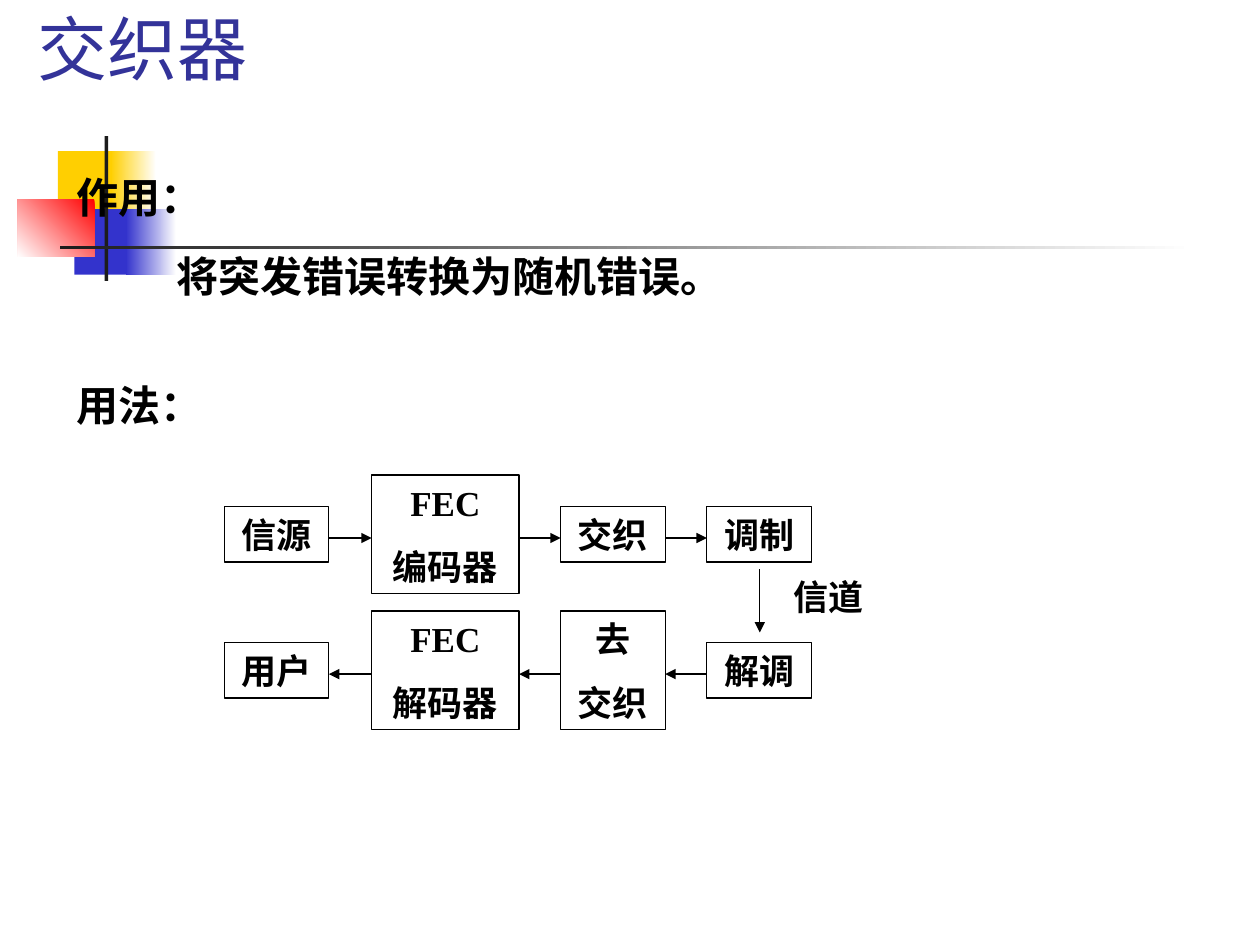
from lxml import etree
from pptx import Presentation
from pptx.dml.color import RGBColor
from pptx.enum.shapes import MSO_CONNECTOR, MSO_SHAPE
from pptx.enum.text import MSO_ANCHOR, MSO_AUTO_SIZE, PP_ALIGN
from pptx.oxml.ns import qn
from pptx.util import Inches, Pt

RECT = MSO_SHAPE.RECTANGLE
STRAIGHT = MSO_CONNECTOR.STRAIGHT
TOP, MIDDLE, BOTTOM = MSO_ANCHOR.TOP, MSO_ANCHOR.MIDDLE, MSO_ANCHOR.BOTTOM
LEFT, CENTER = PP_ALIGN.LEFT, PP_ALIGN.CENTER
NO_FIT = MSO_AUTO_SIZE.NONE

TITLE_ONLY = 5
BLACK, WHITE, DARK = "000000", "FFFFFF", "1C1C1C"
YELLOW, BLUE, RED = "FFCF01", "3333CC", "FF0000"


def rgb(value):
    return RGBColor.from_string(value)


class SlideBuilder:
    title_font = {"name": "Cabin", "size": Pt(40), "bold": False}
    heading_font = {"name": "Times New Roman", "size": Pt(24), "bold": True}
    label_font = {"name": "Times New Roman", "size": Pt(20), "bold": True}
    line_width = Pt(0.75)
    space_before = Pt(12.5)

    def __init__(self, prs):
        self.s = prs.slides.add_slide(prs.slide_layouts[TITLE_ONLY])

    def set_text(self, sp, lines, font, color=BLACK, align=LEFT, anchor=TOP, wrap=True):
        tf = sp.text_frame
        frame = {"auto_size": NO_FIT, "word_wrap": wrap, "vertical_anchor": anchor}
        for name, value in frame.items():
            setattr(tf, name, value)
        for i, line in enumerate(lines):
            p = tf.add_paragraph() if i else tf.paragraphs[0]
            p.alignment = align
            p.space_before = self.space_before if i else Pt(0)
            r = p.add_run()
            r.text = line
            for name, value in font.items():
                setattr(r.font, name, value)
            r.font.color.rgb = rgb(color)

    def title(self, text, x, y, w, h):
        sp = self.s.shapes.title
        for name, value in zip(("left", "top", "width", "height"), (x, y, w, h)):
            setattr(sp, name, Inches(value))
        self.set_text(sp, [text], self.title_font, "333399", anchor=BOTTOM)

    def rect(self, x, y, w, h):
        sp = self.s.shapes.add_shape(RECT, Inches(x), Inches(y), Inches(w), Inches(h))
        sp.shadow.inherit = False
        return sp

    def block(self, x, y, w, h, colors, angle=180):
        """Decoration with one solid colour, or two colours and a clockwise angle."""
        sp = self.rect(x, y, w, h)
        sp.line.fill.background()
        if len(colors) == 1:
            sp.fill.solid()
            sp.fill.fore_color.rgb = rgb(colors[0])
            return
        sp.fill.gradient()
        sp.fill.gradient_angle = 360 - angle
        for stop, color in zip(sp.fill.gradient_stops, colors):
            stop.color.rgb = rgb(color)

    def box(self, lines, x, center, w):
        h = 0.44 + 0.5 * (len(lines) - 1)
        sp = self.rect(x, center - h / 2, w, h)
        sp.fill.background()
        sp.line.color.rgb = rgb(BLACK)
        sp.line.width = self.line_width
        self.set_text(sp, lines, self.label_font, align=CENTER, anchor=MIDDLE)

    def text(self, line, x, y, w, h, font, wrap=True):
        sp = self.s.shapes.add_textbox(Inches(x), Inches(y), Inches(w), Inches(h))
        self.set_text(sp, [line], font, wrap=wrap)

    def arrow(self, x1, y1, x2, y2):
        c = self.s.shapes.add_connector(
            STRAIGHT, Inches(x1), Inches(y1), Inches(x2), Inches(y2))
        c.line.color.rgb = rgb(BLACK)
        c.line.width = self.line_width
        ln = c.line.get_or_add_ln() if hasattr(c.line, "get_or_add_ln") else c.get_or_add_ln()
        etree.SubElement(ln, qn("a:tailEnd"), type="triangle")
        etree.SubElement(c._element.spPr, qn("a:effectLst"))


def main():
    prs = Presentation()
    prs.slide_width, prs.slide_height = Inches(10), Inches(7.5)
    slide = SlideBuilder(prs)

    # Corner decoration and rule
    slide.block(0.46, 1.2, 0.48, 0.52, [YELLOW])
    slide.block(0.88, 1.2, 0.36, 0.52, [WHITE, YELLOW])
    slide.block(0.59, 1.66, 0.46, 0.52, [BLUE])
    slide.block(1, 1.66, 0.4, 0.52, [WHITE, BLUE])
    slide.block(0.14, 1.58, 0.61, 0.46, [RED, WHITE], angle=135)
    slide.block(0.83, 1.08, 0.03, 1.15, [DARK])
    slide.block(0.48, 1.95, 9, 0.03, [WHITE, DARK])

    # Title and headings
    slide.title("交织器", 0.2, 0, 8.5, 0.76)
    slide.text("作用：", 0.51, 1.31, 2.33, 0.5, slide.heading_font)
    slide.text("将突发错误转换为随机错误。", 1.3, 1.94, 7.72, 0.5, slide.heading_font)
    slide.text("用法：", 0.51, 2.96, 2.33, 0.5, slide.heading_font)

    # Block diagram: sending row above, receiving row below
    columns = [(1.78, 0.83), (2.95, 1.17), (4.45, 0.83), (5.61, 0.83)]
    sender = [["信源"], ["FEC", "编码器"], ["交织"], ["调制"]]
    receiver = [["用户"], ["FEC", "解码器"], ["去", "交织"], ["解调"]]
    for center, row in ((4.24, sender), (5.32, receiver)):
        for (x, w), lines in zip(columns, row):
            slide.box(lines, x, center, w)

    # Arrows run slightly below the box centres
    for (x, w), (next_x, _) in zip(columns, columns[1:]):
        slide.arrow(x + w, 4.27, next_x, 4.27)
        slide.arrow(next_x, 5.35, x + w, 5.35)

    # Channel between modulator and demodulator
    slide.arrow(6.03, 4.52, 6.03, 5.02)
    slide.text("信道", 6.2, 4.52, 0.75, 0.44, slide.label_font, wrap=False)

    prs.save("out.pptx")


if __name__ == "__main__":
    main()
